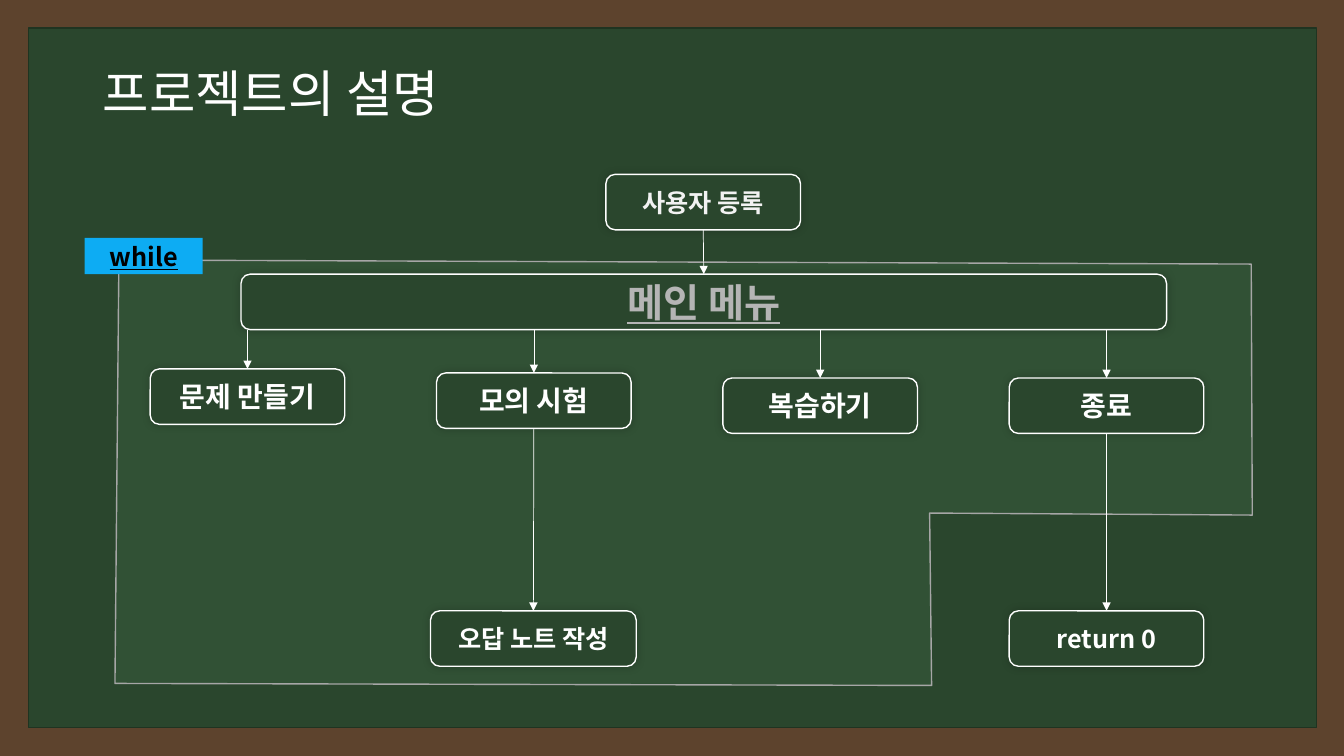
from dataclasses import dataclass

from lxml.etree import SubElement
from pptx import Presentation
from pptx.dml.color import RGBColor
from pptx.enum.shapes import MSO_CONNECTOR, MSO_SHAPE
from pptx.enum.text import MSO_ANCHOR, MSO_AUTO_SIZE, PP_ALIGN
from pptx.oxml.ns import qn
from pptx.util import Inches, Pt


@dataclass(frozen=True)
class Theme:
    font: str = "Noto Sans CJK KR"
    frame: str = "5D432D"
    board: str = "2A462D"
    board_edge: str = "1F3421"
    loop: str = "315135"
    loop_edge: str = "A6A6A6"
    tag: str = "0DACF3"
    white: str = "FFFFFF"
    soft_white: str = "F2F2F2"
    gray: str = "B5B5B5"
    black: str = "000000"
    title_size: int = 36
    menu_size: int = 28
    choice_size: int = 20
    step_size: int = 18
    line: float = 1
    arrow: float = 0.5


class FlowSlide:
    def __init__(self, deck, theme):
        self.theme = theme
        self.page = deck.slides.add_slide(deck.slide_layouts[5])
        self.shapes = self.page.shapes
        self.paint(self.page.background, theme.frame)

    def paint(self, item, color):
        item.fill.solid()
        item.fill.fore_color.rgb = RGBColor.from_string(color)

    def outline(self, item, color, width):
        item.line.color.rgb = RGBColor.from_string(color)
        item.line.width = Pt(width)

    def label(self, shape, text, size, color, align=PP_ALIGN.CENTER, bold=True, underline=False):
        frame = shape.text_frame
        frame.word_wrap = True
        frame.auto_size = MSO_AUTO_SIZE.NONE
        frame.vertical_anchor = MSO_ANCHOR.MIDDLE
        para = frame.paragraphs[0]
        para.text = text
        para.alignment = align
        font = para.font
        font.size, font.bold, font.underline = Pt(size), bold, underline
        font.color.rgb = RGBColor.from_string(color)
        font.name = self.theme.font
        # Hangul takes the East Asian typeface
        properties = para._p.find(".//" + qn("a:defRPr"))
        SubElement(properties, qn("a:ea"), typeface=self.theme.font)

    def title(self, text, left, top, width, height):
        title = self.shapes.title
        title.left, title.top = Inches(left), Inches(top)
        title.width, title.height = Inches(width), Inches(height)
        self.label(title, text, self.theme.title_size, self.theme.white, PP_ALIGN.LEFT, False)
        title.text_frame.paragraphs[0].line_spacing = 0.9
        self.shapes._spTree.append(title._element)  # above the board

    def panel(self, left, top, width, height, fill, edge=None, kind=MSO_SHAPE.RECTANGLE):
        shape = self.shapes.add_shape(kind, Inches(left), Inches(top), Inches(width), Inches(height))
        shape.shadow.inherit = False
        self.paint(shape, fill)
        if edge:
            self.outline(shape, edge, self.theme.line)
        else:
            shape.line.fill.background()
        return shape

    def box(self, text, left, top, size, width=1.93, color=None, underline=False):
        theme = self.theme
        box = self.panel(left, top, width, 0.55, theme.board, theme.white, MSO_SHAPE.ROUNDED_RECTANGLE)
        self.label(box, text, size, color or theme.white, underline=underline)
        # Soft shadow around the box
        effects = box._element.spPr.find(qn("a:effectLst"))
        shadow = SubElement(effects, qn("a:outerShdw"), blurRad=str(Pt(6)), dist="0", dir="18900000")
        tint = SubElement(shadow, qn("a:srgbClr"), val=theme.black)
        SubElement(tint, qn("a:alpha"), val="20000")
        return box

    def region(self, points):
        corners = [(Inches(x), Inches(y)) for x, y in points]
        builder = self.shapes.build_freeform(*corners[0])
        builder.add_line_segments(corners[1:], close=False)
        region = builder.convert_to_shape()
        region.shadow.inherit = False
        self.paint(region, self.theme.loop)
        self.outline(region, self.theme.loop_edge, self.theme.line)

    def arrow(self, upper, lower, joined=True):
        center = lower.left + lower.width // 2
        arrow = self.shapes.add_connector(
            MSO_CONNECTOR.STRAIGHT, center, upper.top + upper.height, center, lower.top)
        if joined:
            arrow.begin_connect(upper, 2)
        arrow.end_connect(lower, 0)
        self.outline(arrow, self.theme.white, self.theme.arrow)
        properties = arrow._element.spPr
        SubElement(properties.find(qn("a:ln")), qn("a:tailEnd"), type="triangle")
        SubElement(properties, qn("a:effectLst"))


def main():
    theme = Theme()
    deck = Presentation()
    deck.slide_width, deck.slide_height = Inches(13.33), Inches(7.5)
    slide = FlowSlide(deck, theme)

    # Board, loop area and title
    slide.panel(0.28, 0.28, 12.78, 6.94, theme.board, theme.board_edge)
    slide.region([(1.18, 2.51), (1.14, 6.78), (9.24, 6.8), (9.22, 5.09),
                  (12.42, 5.11), (12.41, 2.62), (1.15, 2.58)])
    slide.title("프로젝트의 설명", 0.92, 0.4, 11.5, 1.11)

    # Registration and main menu
    register = slide.box("사용자 등록", 6.01, 1.73, theme.step_size, color=theme.soft_white)
    menu = slide.box("메인 메뉴", 2.39, 2.72, theme.menu_size, 9.18, theme.gray, True)
    slide.arrow(register, menu)

    # Menu choices, evenly spaced
    choices = [("문제 만들기", 3.66), ("모의 시험", 3.7), ("복습하기", 3.75), ("종료", 3.75)]
    boxes = [slide.box(text, 1.49 + 2.84 * column, top, theme.choice_size)
             for column, (text, top) in enumerate(choices)]
    for choice in boxes:
        slide.arrow(menu, choice, joined=False)

    # Final steps
    exam, leave = boxes[1], boxes[3]
    slide.arrow(exam, slide.box("오답 노트 작성", 4.27, 6.06, theme.step_size, 2.04))
    slide.arrow(leave, slide.box("return 0", 10.01, 6.06, theme.step_size))

    # Loop tag
    tag = slide.panel(0.84, 2.36, 1.17, 0.36, theme.tag)
    slide.label(tag, "while", theme.step_size, theme.black, underline=True)

    deck.save("out.pptx")


if __name__ == "__main__":
    main()
